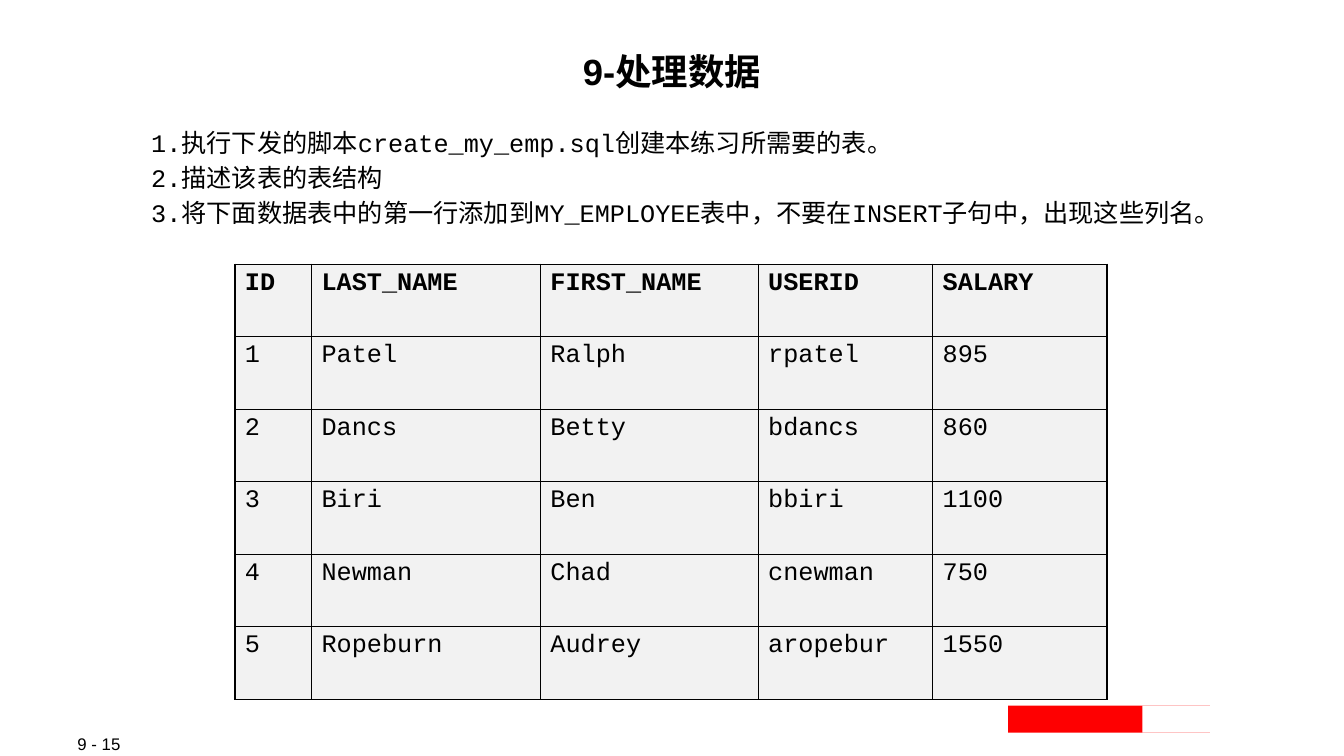
from pptx import Presentation
from pptx.dml.color import RGBColor
from pptx.enum.shapes import MSO_SHAPE as Shape
from pptx.enum.text import MSO_ANCHOR as Anchor, MSO_AUTO_SIZE as AutoSize, PP_ALIGN as Align
from pptx.oxml.xmlchemy import OxmlElement
from pptx.util import Inches, Pt

BLACK, WHITE, RED, PALE = "000000", "FFFFFF", "FE0001", "F2F2F2"
SANS, MONO = "Arial", "Courier New"


def color(value):
    return RGBColor.from_string(value)


def place(item, left, top, width, height):
    item.left, item.top = Inches(left), Inches(top)
    item.width, item.height = Inches(width), Inches(height)


class SlideBuilder:
    def __init__(self, page):
        self.page = page
        page.background.fill.solid()
        page.background.fill.fore_color.rgb = color(WHITE)

    def add_span(self, para, text, font, size, bold=False):
        span = para.add_run()
        span.text = text
        span.font.name, span.font.size, span.font.bold = font, Pt(size), bold
        span.font.color.rgb = color(BLACK)

    def placeholder(self, box, area, lines, font, size, bold=False, align=Align.LEFT):
        place(box, *area)
        frame = box.text_frame
        frame.word_wrap = True
        frame.auto_size = AutoSize.NONE
        frame.vertical_anchor = Anchor.TOP
        frame.margin_left = frame.margin_right = Inches(0.01)
        frame.margin_top = frame.margin_bottom = Inches(0.01)
        for index, line in enumerate(lines):
            para = frame.add_paragraph() if index else frame.paragraphs[0]
            para.alignment = align
            properties = para._p.get_or_add_pPr()
            properties.set("marL", "0")
            properties.set("indent", "0")
            properties.append(OxmlElement("a:buNone"))
            self.add_span(para, line, font, size, bold)

    def label(self, area, text, font, size):
        box = self.page.shapes.add_textbox(*map(Inches, area))
        frame = box.text_frame
        frame.word_wrap = False
        frame.vertical_anchor = Anchor.MIDDLE
        para = frame.paragraphs[0]
        para.alignment = Align.JUSTIFY
        self.add_span(para, text, font, size)

    def bar(self, area, fill):
        box = self.page.shapes.add_shape(Shape.RECTANGLE, *map(Inches, area))
        box.shadow.inherit = False
        box.fill.solid()
        box.fill.fore_color.rgb = color(fill)
        box.line.fill.background()

    def border(self, cell):
        properties = cell._tc.get_or_add_tcPr()
        for side in ("L", "R", "T", "B"):
            line = OxmlElement(f"a:ln{side}")
            line.set("w", str(Pt(1)))
            fill = OxmlElement("a:solidFill")
            shade = OxmlElement("a:srgbClr")
            shade.set("val", BLACK)
            fill.append(shade)
            line.append(fill)
            properties.append(line)

    def table(self, left, top, widths, row_height, rows, font, size):
        area = (left, top, sum(widths), row_height * len(rows))
        grid = self.page.shapes.add_table(len(rows), len(widths), *map(Inches, area)).table
        for column, width in zip(grid.columns, widths):
            column.width = Inches(width)
        for row_index, values in enumerate(rows):
            grid.rows[row_index].height = Inches(row_height)
            for column_index, value in enumerate(values):
                cell = grid.cell(row_index, column_index)
                self.border(cell)
                cell.fill.solid()
                cell.fill.fore_color.rgb = color(PALE)
                self.add_span(cell.text_frame.paragraphs[0], value, font, size, row_index == 0)


EMPLOYEES = [
    ("ID", "LAST_NAME", "FIRST_NAME", "USERID", "SALARY"),
    ("1", "Patel", "Ralph", "rpatel", "895"),
    ("2", "Dancs", "Betty", "bdancs", "860"),
    ("3", "Biri", "Ben", "bbiri", "1100"),
    ("4", "Newman", "Chad", "cnewman", "750"),
    ("5", "Ropeburn", "Audrey", "aropebur", "1550"),
]
TASKS = [
    "1.执行下发的脚本create_my_emp.sql创建本练习所需要的表。",
    "2.描述该表的表结构",
    "3.将下面数据表中的第一行添加到MY_EMPLOYEE表中\uff0c不要在INSERT子句中\uff0c出现这些列名。",
]

deck = Presentation()
deck.slide_width, deck.slide_height = Inches(13.33), Inches(7.5)
page = deck.slides.add_slide(deck.slide_layouts[1])
builder = SlideBuilder(page)

builder.label((0.67, 7.28, 1.41, 0.2), "9 - 15", SANS, 12)
for left, fill in ((10, RED), (11.33, WHITE)):
    builder.bar((left, 7, 2, 0.27), fill)
builder.placeholder(page.placeholders[1], (1.49, 1.25, 11.11, 1.36), TASKS, MONO, 18)
builder.table(2.33, 2.62, (0.76, 2.27, 2.16, 1.73, 1.73), 0.72, EMPLOYEES, MONO, 18)
builder.placeholder(page.shapes.title, (0.89, 0.48, 11.55, 0.96), ["9-处理数据"], SANS, 26, True, Align.CENTER)

deck.save("out.pptx")
